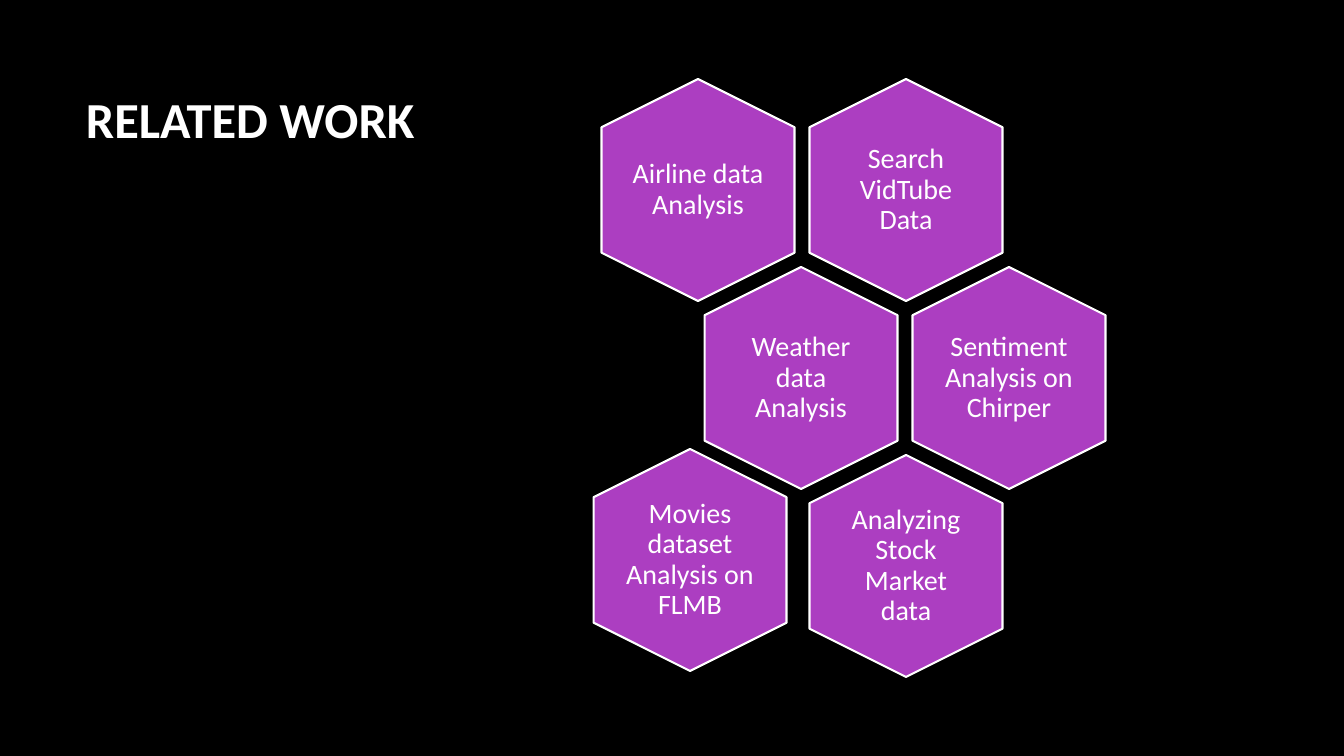
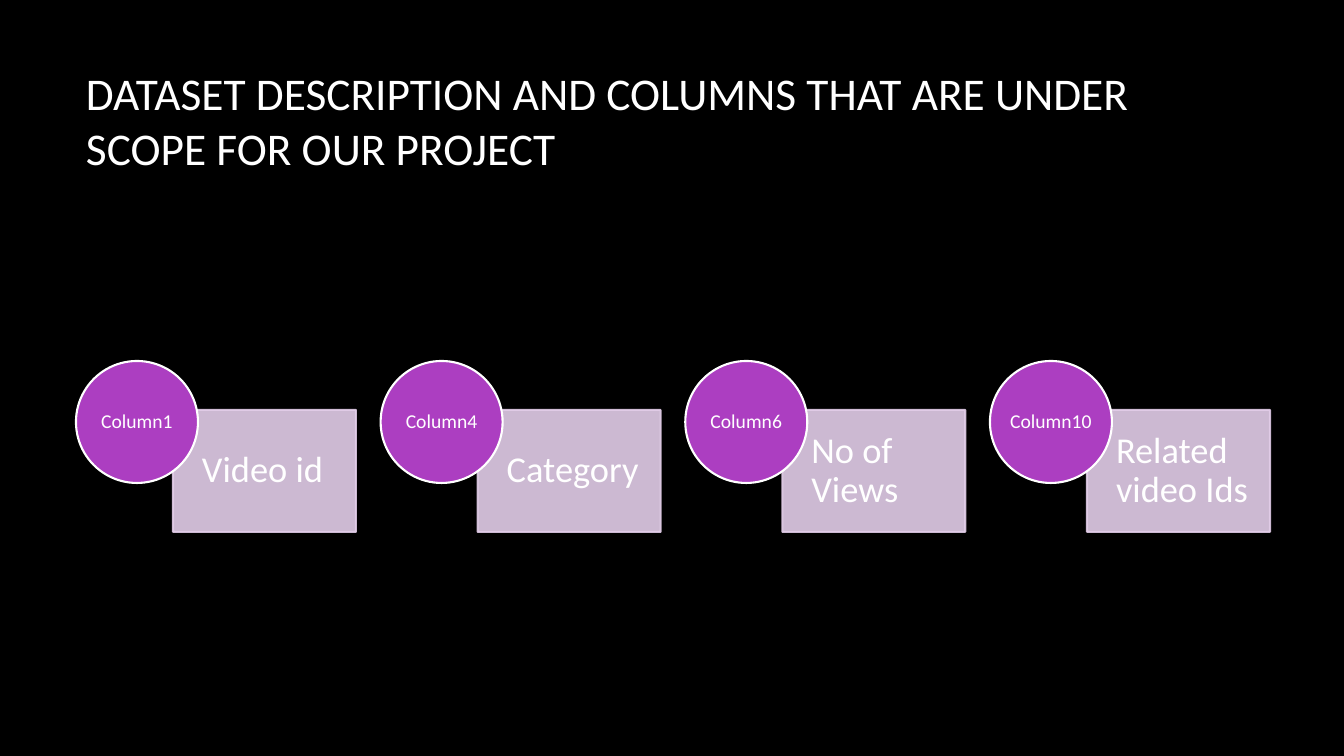
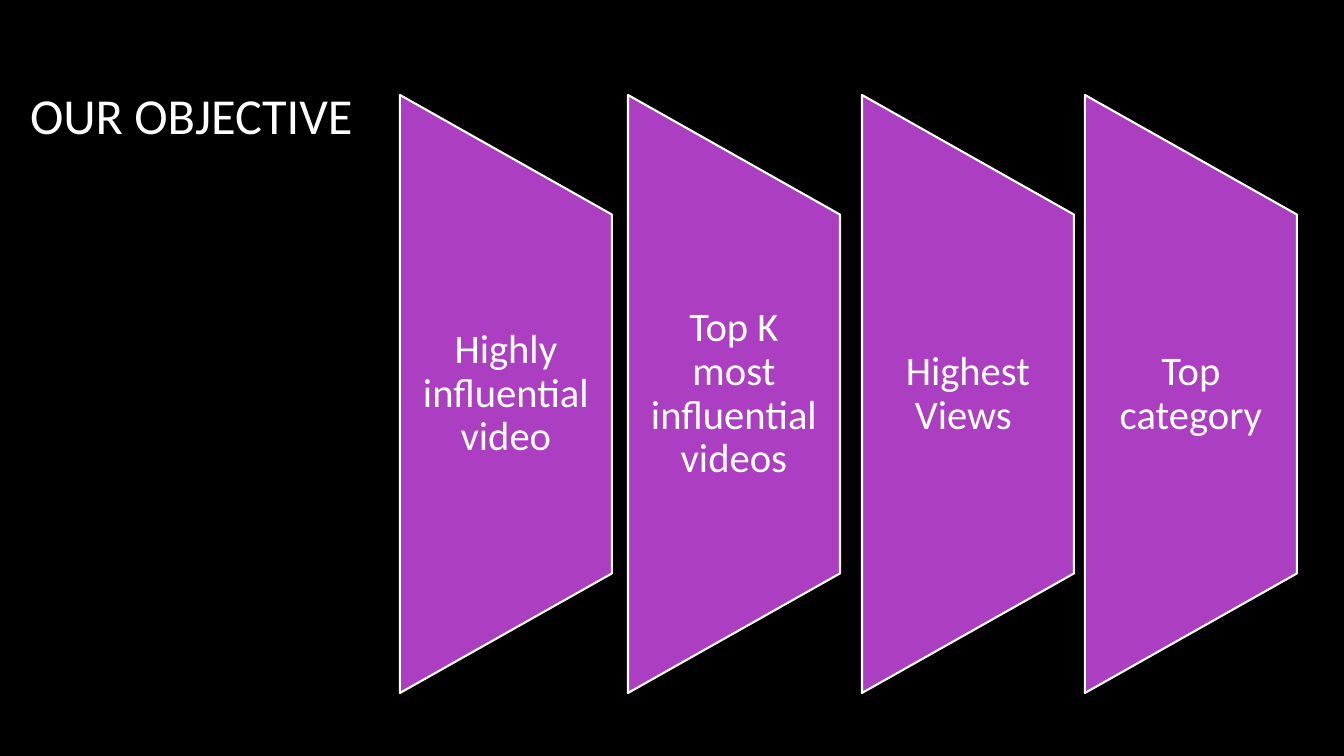
from lxml import etree
from pptx import Presentation
from pptx.dml.color import RGBColor
from pptx.enum.shapes import MSO_SHAPE
from pptx.enum.text import MSO_ANCHOR, MSO_AUTO_SIZE, PP_ALIGN
from pptx.oxml.ns import qn
from pptx.util import Emu, Pt

HEXAGON = MSO_SHAPE.HEXAGON
TRAPEZOID = MSO_SHAPE.FLOWCHART_MANUAL_OPERATION
CIRCLE = MSO_SHAPE.OVAL
RECTANGLE = MSO_SHAPE.RECTANGLE
LEFT, CENTER = PP_ALIGN.LEFT, PP_ALIGN.CENTER
MIDDLE = MSO_ANCHOR.MIDDLE

BLACK = RGBColor(0x00, 0x00, 0x00)
WHITE = RGBColor(0xFF, 0xFF, 0xFF)
PURPLE = RGBColor(0xAC, 0x3E, 0xC1)
LILAC = RGBColor(0xE3, 0xCE, 0xE9)
FONT = "Calibri"

# Content: hexagons are (column, row, text, nudge from the grid)
RELATED_WORK = [
    (0, 0, "Airline data Analysis", (0, 0)),
    (1, 0, "Search VidTube Data", (0, 0)),
    (0, 1, "Weather data Analysis", (0, 0)),
    (1, 1, "Sentiment Analysis on Chirper", (0, 0)),
    (0, 2, "Movies dataset Analysis on FLMB", (-8, -6)),
    (1, 2, "Analyzing Stock Market data", (0, 0)),
]
COLUMNS = [
    ("Column1", "Video id"),
    ("Column4", "Category"),
    ("Column6", "No of Views"),
    ("Column10", "Related video Ids"),
]
# Left edge and text of each objective
OBJECTIVES = [
    (400, "Highly influential video"),
    (628, "Top K most influential videos"),
    (862, "Highest Views "),
    (1085, "Top category"),
]

# Lengths in px
SLIDE_W, SLIDE_H = 1344, 756
EMU_PER_PX = 12192000 / SLIDE_W
TITLE_BOX = (76, 68, 1117, 160)


def px(length):
    return Emu(round(length * EMU_PER_PX))


def place(box):
    return [px(length) for length in box]


def set_text(shape, text, size, align=CENTER, margins=(0, 0, 0, 0), spacing=0.9, bold=False):
    """Write one white paragraph, centred vertically; margins run left, top, right, bottom."""
    frame = shape.text_frame
    frame.text = text
    frame.word_wrap = True
    frame.auto_size = MSO_AUTO_SIZE.NONE
    frame.vertical_anchor = MIDDLE
    (frame.margin_left, frame.margin_top,
     frame.margin_right, frame.margin_bottom) = place(margins)
    para = frame.paragraphs[0]
    para.alignment = align
    para.line_spacing = spacing
    para.font.name = FONT
    para.font.size = Pt(size)
    para.font.bold = bold
    para.font.color.rgb = WHITE


def add_figure(page, kind, box, fill=PURPLE, line=WHITE):
    shape = page.shapes.add_shape(kind, *place(box))
    shape.shadow.inherit = False
    shape.fill.solid()
    shape.fill.fore_color.rgb = fill
    shape.line.color.rgb = line
    shape.line.width = Pt(1.5)
    return shape


def add_turned(page, kind, center, length, breadth, angle):
    """Add a shape given before rotation, turned about its center."""
    x, y = center
    shape = add_figure(page, kind, (x - length / 2, y - breadth / 2, length, breadth))
    shape.rotation = angle


def add_label(page, text, center, width, height, size, side=0):
    x, y = center
    label = page.shapes.add_textbox(*place((x - width / 2, y - height / 2, width, height)))
    set_text(label, text, size, margins=(side, 0, side, 0))


def set_opacity(shape, percent):
    for color in shape.element.spPr.iter(qn("a:srgbClr")):
        etree.SubElement(color, qn("a:alpha")).set("val", str(percent * 1000))


def add_page(deck, title, size, box=TITLE_BOX, space_below=0, bold=False):
    page = deck.slides.add_slide(deck.slide_layouts[5])
    heading = page.shapes.title
    heading.left, heading.top, heading.width, heading.height = place(box)
    set_text(heading, title, size, LEFT, (10, 5, 10, 5 + space_below), 1.0, bold)
    return page


def build_related_work(deck):
    page = add_page(deck, "RELATED WORK", 36, space_below=60, bold=True)
    left, top, column_step, row_step, odd_row_shift = 698, 190, 208, 188, 103
    for column, row, text, (dx, dy) in RELATED_WORK:
        center = (left + column * column_step + row % 2 * odd_row_shift + dx,
                  top + row * row_step + dy)
        add_turned(page, HEXAGON, center, 222, 193, 90)
        add_label(page, text, center, 133, 152, 20)


def build_columns(deck):
    page = add_page(
        deck, "DATASET DESCRIPTION AND COLUMNS THAT ARE UNDER SCOPE FOR OUR PROJECT",
        32.4, space_below=56)
    first, last, top, diameter = 76, 990, 361, 122
    step = (last - first) / (len(COLUMNS) - 1)
    for index, (name, meaning) in enumerate(COLUMNS):
        left = first + index * step
        card = add_figure(page, RECTANGLE, (left + 97, top + 49, 183, 122), LILAC, LILAC)
        set_opacity(card, 90)
        set_text(card, meaning, 26, LEFT, (29, 20, 20, 20))
        badge = add_figure(page, CIRCLE, (left, top, diameter, diameter))
        set_text(badge, name, 14)


def build_objectives(deck):
    page = add_page(deck, "OUR OBJECTIVE", 36, box=(20, 34, 1117, 160))
    width, height, middle = 212, 598, 394
    for left, text in OBJECTIVES:
        center = (left + width / 2, middle)
        add_turned(page, TRAPEZOID, center, height, width, 270)
        add_label(page, text, center, width, 359, 29, side=20)


def main():
    deck = Presentation()
    deck.slide_width, deck.slide_height = px(SLIDE_W), px(SLIDE_H)
    # Shared black background
    backdrop = deck.slide_master.background.fill
    backdrop.solid()
    backdrop.fore_color.rgb = BLACK
    build_related_work(deck)
    build_columns(deck)
    build_objectives(deck)
    deck.save("out.pptx")


if __name__ == "__main__":
    main()
